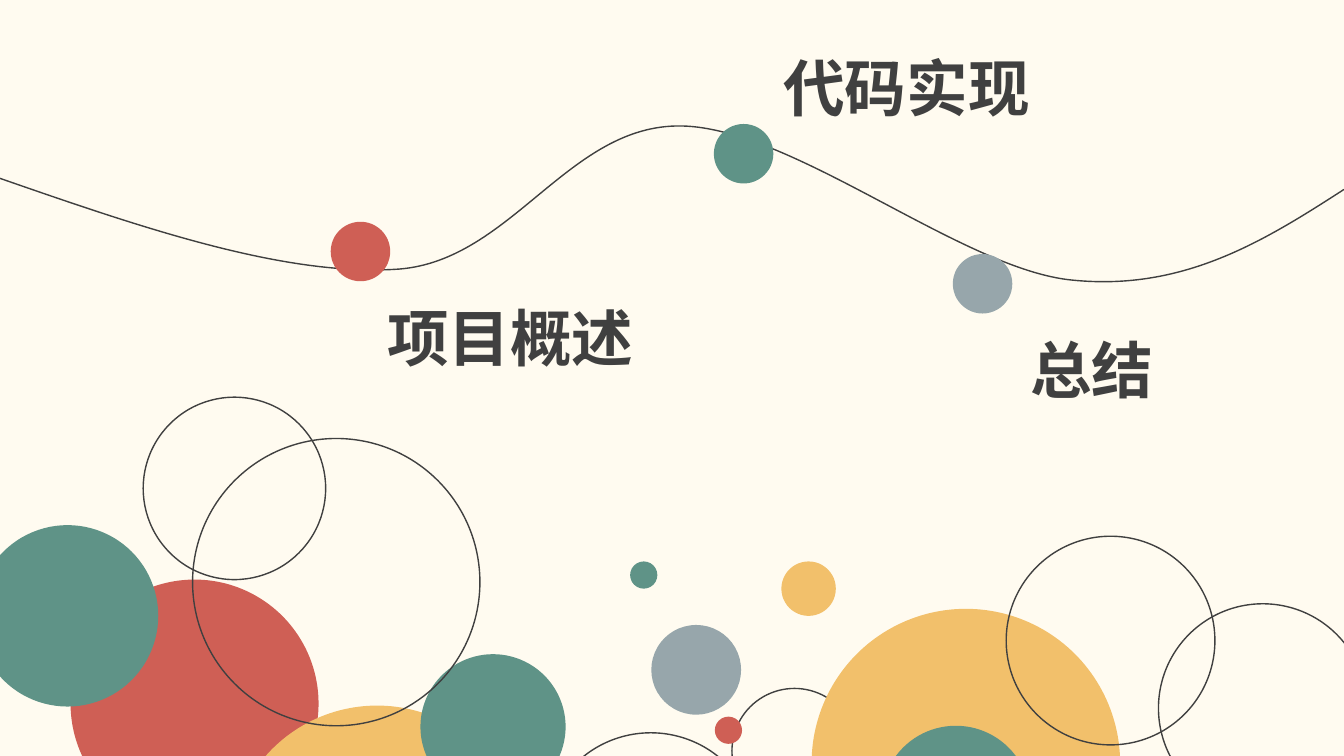
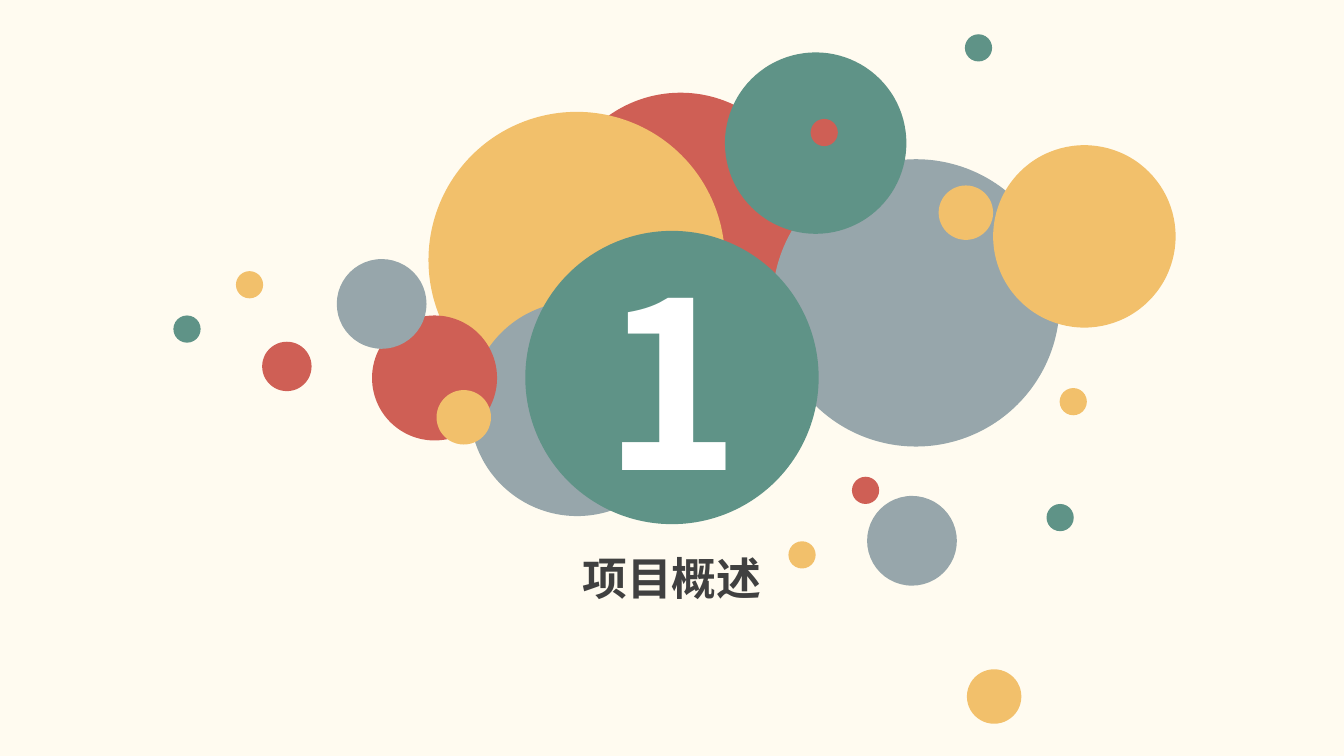
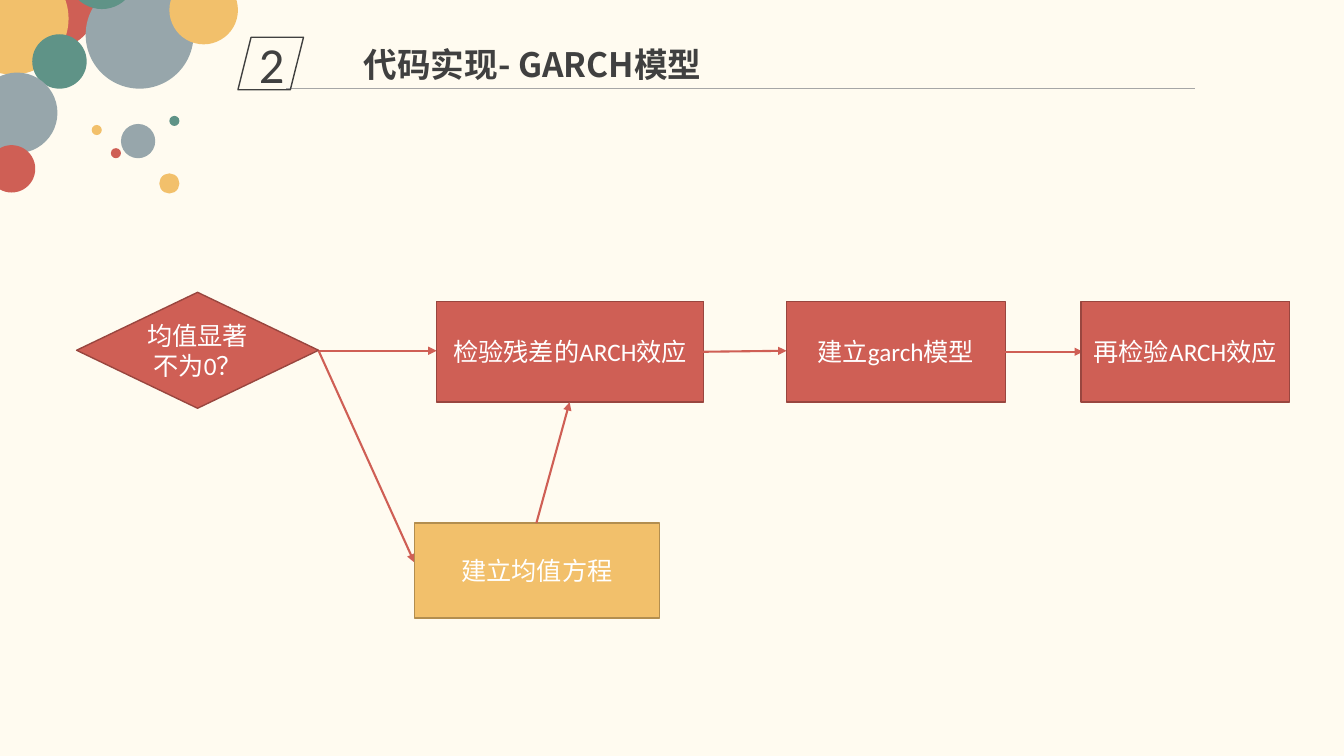
"""Build a section overview, a section divider and a flow chart slide."""
from dataclasses import dataclass

from lxml import etree
from pptx import Presentation
from pptx.dml.color import RGBColor
from pptx.enum import shapes, text
from pptx.oxml import ns
from pptx.util import Inches, Pt


@dataclass(frozen=True)
class Theme:
    """Colours, fonts and type sizes shared by the slides."""
    paper: str = "FFFBF0"
    ink: str = "404040"
    white: str = "FFFFFF"
    rule: str = "A6A6A6"
    red: str = "CF5F55"
    red_edge: str = "99463F"
    yellow: str = "F2C06B"
    yellow_edge: str = "B38E4F"
    green: str = "5F9387"
    grey: str = "97A6AB"
    heading_font: str = "Noto Sans CJK SC"
    body_font: str = "Calibri"
    numeral: int = 166
    agenda: int = 44
    badge: int = 36
    section: int = 32
    title: int = 24
    body: int = 18


THEME = Theme()
KIND = shapes.MSO_SHAPE
CENTER = text.PP_ALIGN.CENTER
WAVE_START = (0, 1.77)
WAVE = [
    ((1.41, 2.26), (2.83, 2.75), (3.96, 2.67)),
    ((5.08, 2.58), (5.64, 1.23), (6.76, 1.25)),
    ((7.87, 1.27), (9.55, 2.68), (10.64, 2.78)),
    ((11.74, 2.89), (12.54, 2.39), (13.33, 1.88)),
]
AGENDA_BUBBLES = [
    (0.7, 5.75, 2.46, THEME.red), (2.27, 7, 2.94, THEME.yellow),
    (4.17, 6.49, 1.44, THEME.green), (5.39, 7.27, 2.13, None),
    (1.91, 4.35, 2.85, None), (-0.23, 5.21, 1.8, THEME.green),
    (7.26, 6.83, 1.24, None), (8.05, 6.04, 3.06, THEME.yellow),
    (8.74, 7.2, 1.48, THEME.green), (9.98, 5.32, 2.07, None),
    (11.49, 5.99, 2.07, None), (6.46, 6.2, 0.89, THEME.grey),
    (7.09, 7.11, 0.27, THEME.red), (6.25, 5.57, 0.27, THEME.green),
    (7.75, 5.57, 0.54, THEME.yellow), (1.42, 3.94, 1.81, None),
]
AGENDA_DOTS = [
    (3.28, 2.2, 0.59, THEME.red), (7.08, 1.23, 0.59, THEME.green),
    (9.45, 2.52, 0.59, THEME.grey),
]
AGENDA_ITEMS = [
    ("项目概述", 3.74, 2.93), ("代码实现", 7.67, 0.45), ("总结", 10.12, 3.24),
]
SECTION_BUBBLES = [
    (5.52, 0.92, 2.46, THEME.red), (4.25, 1.11, 2.94, THEME.yellow),
    (4.66, 2.99, 2.13, THEME.grey), (7.66, 1.58, 2.85, THEME.grey),
    (7.19, 0.52, 1.8, THEME.green), (3.69, 3.13, 1.24, THEME.red),
    (8.6, 4.92, 0.89, THEME.grey), (8.45, 4.73, 0.27, THEME.red),
    (7.82, 5.37, 0.27, THEME.yellow), (10.38, 5, 0.27, THEME.green),
    (9.59, 6.64, 0.54, THEME.yellow), (9.85, 1.44, 1.81, THEME.yellow),
    (3.34, 2.57, 0.89, THEME.grey), (2.6, 3.39, 0.49, THEME.red),
    (2.34, 2.69, 0.27, THEME.yellow), (1.72, 3.13, 0.27, THEME.green),
    (4.33, 3.87, 0.54, THEME.yellow), (8.04, 1.18, 0.27, THEME.red),
    (10.51, 3.85, 0.27, THEME.yellow), (9.57, 0.34, 0.27, THEME.green),
    (9.31, 1.84, 0.54, THEME.yellow),
]
CORNER_BUBBLES = [
    (0.04, -0.44, 0.93, THEME.red), (-0.43, -0.37, 1.11, THEME.yellow),
    (0.32, 0.34, 0.54, THEME.green), (-0.23, 0.72, 0.8, THEME.grey),
    (0.85, -0.19, 1.07, THEME.grey), (0.67, -0.59, 0.68, THEME.green),
    (-0.12, 1.44, 0.47, THEME.red), (1.2, 1.23, 0.34, THEME.grey),
    (1.1, 1.47, 0.1, THEME.red), (0.91, 1.24, 0.1, THEME.yellow),
    (1.68, 1.15, 0.1, THEME.green), (1.58, 1.72, 0.2, THEME.yellow),
    (1.68, -0.24, 0.68, THEME.yellow),
]
RED_STEP = (THEME.red, THEME.red_edge)
YELLOW_STEP = (THEME.yellow, THEME.yellow_edge)
FLOW_STEPS = [
    (KIND.FLOWCHART_DECISION, (0, 0, 2.4, 1.15), "均值显著不为0？", RED_STEP, []),
    (KIND.FLOWCHART_PROCESS, (3.57, 0.09, 2.65, 1), "检验残差的ARCH效应", RED_STEP,
     [((2.4, 0.58), (3.57, 0.58))]),
    (KIND.RECTANGLE, (3.35, 2.29, 2.43, 0.94), "建立均值方程", YELLOW_STEP,
     [((2.4, 0.58), (3.35, 2.68))]),
    (KIND.FLOWCHART_PROCESS, (7.04, 0.09, 2.17, 1), "建立garch模型", RED_STEP,
     [((4.56, 2.29), (4.89, 1.09)), ((6.21, 0.59), (7.04, 0.58))]),
    (KIND.FLOWCHART_PROCESS, (9.96, 0.09, 2.07, 1), "再检验ARCH效应", RED_STEP,
     [((9.21, 0.59), (9.98, 0.59))]),
]


def inches(*values):
    """Convert numbers to lengths."""
    return [Inches(value) for value in values]


def paint(shape, fill=None, line=None, width=1):
    """Give a shape a flat fill and outline, or none."""
    shape.shadow.inherit = False
    if fill:
        shape.fill.solid()
        shape.fill.fore_color.rgb = RGBColor.from_string(fill)
    else:
        shape.fill.background()
    if line:
        shape.line.color.rgb = RGBColor.from_string(line)
        shape.line.width = Pt(width)
    else:
        shape.line.fill.background()


def write(shape, words, size, color, font=THEME.heading_font, bold=True,
          align=CENTER, **frame_format):
    """Put one paragraph of formatted text into a shape."""
    frame = shape.text_frame
    for name, value in {"word_wrap": True, **frame_format}.items():
        setattr(frame, name, value)
    paragraph = frame.paragraphs[0]
    paragraph.alignment = align
    run = paragraph.add_run()
    run.text = words
    for name, value in {"name": font, "size": Pt(size), "bold": bold}.items():
        setattr(run.font, name, value)
    run.font.color.rgb = RGBColor.from_string(color)
    east_asian = etree.SubElement(run.font._element, ns.qn("a:ea"))
    east_asian.set("typeface", THEME.heading_font)


def add_box(container, kind, box, fill=None, line=None):
    """Add a preset shape."""
    shape = container.shapes.add_shape(kind, *inches(*box))
    paint(shape, fill, line)
    return shape


def add_label(slide, box, words, size, align=None):
    """Add a bold heading in a text box."""
    label = slide.shapes.add_textbox(*inches(*box))
    write(label, words, size, THEME.ink, align=align,
          auto_size=text.MSO_AUTO_SIZE.SHAPE_TO_FIT_TEXT)


def add_bubbles(container, bubbles):
    """Add circles; those without a colour are outlined."""
    for left, top, size, color in bubbles:
        add_box(container, KIND.OVAL, (left, top, size, size),
                color, None if color else THEME.ink)


def add_line(slide, start, end, color, width, arrow=False):
    """Add a straight line, with an arrowhead at its end if asked."""
    connector = slide.shapes.add_connector(
        shapes.MSO_CONNECTOR.STRAIGHT, *inches(*start, *end))
    connector.line.color.rgb = RGBColor.from_string(color)
    connector.line.width = Pt(width)
    if arrow:
        outline = connector.line._get_or_add_ln()
        etree.SubElement(outline, ns.qn("a:tailEnd")).set("type", "triangle")
    etree.SubElement(connector._element.spPr, ns.qn("a:effectLst"))


def add_wave(slide):
    """Draw the smooth curve that strings the sections together."""
    builder = slide.shapes.build_freeform(*inches(*WAVE_START))
    builder.add_line_segments([inches(*segment[-1]) for segment in WAVE], close=False)
    wave = builder.convert_to_shape()
    paint(wave, line=THEME.ink)
    for straight, segment in zip(list(wave._element.iter(ns.qn("a:lnTo"))), WAVE):
        curve = etree.Element(ns.qn("a:cubicBezTo"))
        for x, y in segment:
            point = etree.SubElement(curve, ns.qn("a:pt"))
            point.set("x", str(Inches(x) - wave.left))
            point.set("y", str(Inches(y) - wave.top))
        straight.getparent().replace(straight, curve)


def add_header(slide, box, number, title):
    """Add the numbered badge, title and rule of a content slide."""
    left, top, width, height = box
    baseline = top + height - 0.01
    add_line(slide, (left + 0.48, baseline), (left + width, baseline), THEME.rule, 0.5)
    badge = add_box(slide, KIND.PARALLELOGRAM, (left, top, 0.65, height), line=THEME.ink)
    write(badge, number, THEME.badge, THEME.ink, THEME.body_font, False,
          vertical_anchor=text.MSO_ANCHOR.MIDDLE)
    add_label(slide, (left + 1.15, top + 0.02, 5.13, 0.5), title, THEME.title)


def add_flow(slide, left, top):
    """Add the flow chart with its corner at the given point."""
    for kind, (x, y, width, height), words, colors, arrows in FLOW_STEPS:
        for start, end in arrows:
            add_line(slide, (left + start[0], top + start[1]),
                     (left + end[0], top + end[1]), THEME.red, 1.5, arrow=True)
        step = add_box(slide, kind, (left + x, top + y, width, height), *colors)
        write(step, words, THEME.body, THEME.white, THEME.body_font, False,
              vertical_anchor=text.MSO_ANCHOR.MIDDLE,
              margin_left=Inches(0.09), margin_right=Inches(0.09))


def agenda_slide(slide):
    """Fill the section overview."""
    add_bubbles(slide, AGENDA_BUBBLES)
    add_wave(slide)
    add_bubbles(slide, AGENDA_DOTS)
    for words, left, top in AGENDA_ITEMS:
        add_label(slide, (left, top, 3.11, 0.84), words, THEME.agenda)


def section_slide(slide):
    """Fill the section divider."""
    add_bubbles(slide, SECTION_BUBBLES)
    disc = add_box(slide, KIND.OVAL, (5.21, 2.29, 2.91, 2.91), THEME.green)
    write(disc, "1", THEME.numeral, THEME.white, vertical_anchor=text.MSO_ANCHOR.MIDDLE)
    add_label(slide, (3.65, 5.41, 6.03, 0.64), "项目概述", THEME.section, CENTER)


def flow_slide(slide):
    """Fill the flow chart slide."""
    add_bubbles(slide.shapes.add_group_shape(), CORNER_BUBBLES)
    add_header(slide, (2.36, 0.37, 9.49, 0.52), "2", "代码实现- GARCH模型")
    add_flow(slide, 0.76, 2.9)


def main():
    """Build and save the presentation."""
    presentation = Presentation()
    presentation.slide_width, presentation.slide_height = inches(13.33, 7.5)
    background = presentation.slide_master.background.fill
    background.solid()
    background.fore_color.rgb = RGBColor.from_string(THEME.paper)
    for fill_slide in (agenda_slide, section_slide, flow_slide):
        fill_slide(presentation.slides.add_slide(presentation.slide_layouts[6]))
    presentation.save("out.pptx")


if __name__ == "__main__":
    main()
